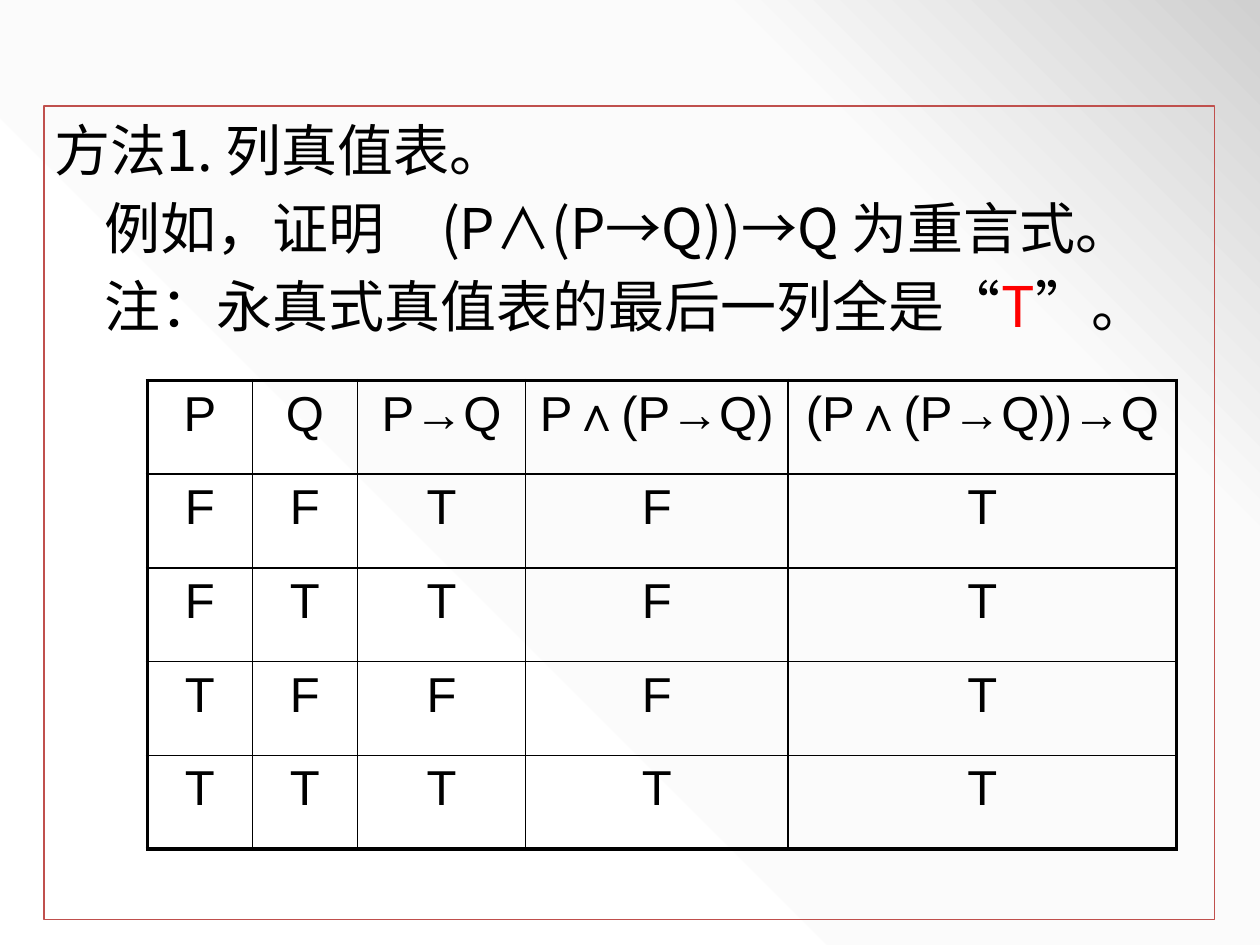
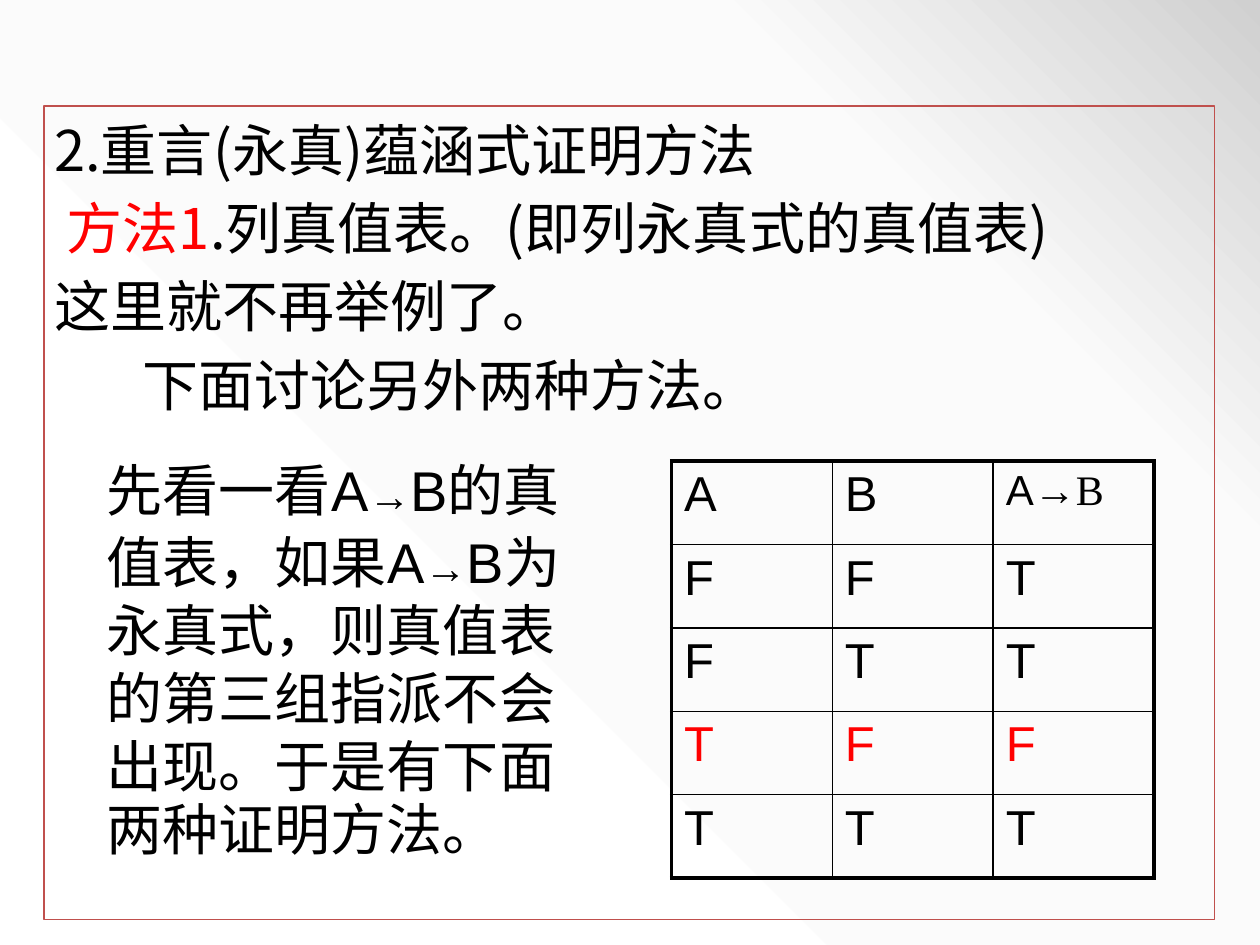
import copy
from dataclasses import dataclass

import pptx
import pptx.dml.color
import pptx.enum.text
import pptx.oxml
import pptx.oxml.ns
import pptx.util

Pt, Inches = pptx.util.Pt, pptx.util.Inches
ALIGN = pptx.enum.text.PP_ALIGN


@dataclass(frozen=True)
class Theme:
    ink: str = "000000"
    accent: str = "FF0000"
    frame: str = "C0504D"
    backdrop: tuple = ((0, "FFFFFF"), (0.75, "FBFBFB"), (1, "D0D0D0"))
    cjk: str = "Noto Sans CJK SC"
    sans: str = "Arial"
    serif: str = "Times New Roman"
    body: float = 32
    cell: float = 28
    small: float = 24
    frame_line: float = 0.75
    inner_line: float = 1
    outer_line: float = 2.25


T = Theme()
WIDTH, HEIGHT = Inches(10), Inches(7.5)


def rgb(value):
    return pptx.dml.color.RGBColor.from_string(value)


def place(left, top, width, height):
    """Turn percentages of the slide into lengths."""
    return [int(share * side / 100) for share, side in
            zip((left, top, width, height), (WIDTH, HEIGHT) * 2)]


# Text
def add_run(p, text, size=T.body, font=T.cjk, east=None, color=T.ink):
    r = p.add_run()
    r.text = text
    r.font.size, r.font.name = Pt(size), font
    r.font.color.rgb = rgb(color)
    ea = pptx.oxml.parse_xml(
        f'<a:ea {pptx.oxml.ns.nsdecls("a")} typeface="{east or font}"/>')
    r.font._element.find(pptx.oxml.ns.qn("a:latin")).addnext(ea)


def add_text(tf, runs, first=False, indent=0, line=None, before=0, align=ALIGN.LEFT, **style):
    """Add a paragraph; runs is a string or a list of (text, format) pairs."""
    p = tf.paragraphs[0] if first else tf.add_paragraph()
    props = p._p.get_or_add_pPr()
    props.set("marL", str(Inches(indent)))
    props.set("indent", "0")
    props.append(pptx.oxml.parse_xml(f'<a:buNone {pptx.oxml.ns.nsdecls("a")}/>'))
    p.alignment = align
    p.space_before = Pt(0 if first else before)
    if line:
        p.line_spacing = Pt(line)
    for text, extra in [(runs, {})] if isinstance(runs, str) else runs:
        add_run(p, text, **{**style, **extra})


def set_frame(tf, side, edge):
    tf.word_wrap = True
    tf.auto_size = pptx.enum.text.MSO_AUTO_SIZE.NONE
    tf.vertical_anchor = pptx.enum.text.MSO_ANCHOR.TOP
    tf.margin_left = tf.margin_right = Inches(side)
    tf.margin_top = tf.margin_bottom = Inches(edge)


# Shared look
def set_backdrop(prs):
    master = prs.slide_master
    fill = master.background.fill
    fill.gradient()
    fill.gradient_angle = 45
    stops = master.element.xpath("./p:cSld/p:bg//a:gsLst")[0]
    stops.append(copy.deepcopy(stops[0]))
    for stop, (position, color) in zip(fill.gradient_stops, T.backdrop):
        stop.color.rgb = rgb(color)
        stop.position = position


def add_framed_slide(prs, lines):
    """Add a slide whose body is a framed list of (indent, runs)."""
    slide = prs.slides.add_slide(prs.slide_layouts[1])
    title = slide.shapes.title.element
    title.getparent().remove(title)
    sp = slide.placeholders[1]
    sp.left, sp.top, sp.width, sp.height = place(3.5, 11.2, 92.9, 86.13)
    sp.line.color.rgb = rgb(T.frame)
    sp.line.width = Pt(T.frame_line)
    set_frame(sp.text_frame, 0.08, 0.04)
    for i, (indent, runs) in enumerate(lines):
        add_text(sp.text_frame, runs, first=i == 0, indent=indent, line=41, before=3.7)
    return slide


# Truth tables
def set_borders(cell, widths):
    props = cell._tc.get_or_add_tcPr()
    for i, (side, width) in enumerate(zip(("lnL", "lnR", "lnT", "lnB"), widths)):
        props.insert(i, pptx.oxml.parse_xml(
            f'<a:{side} {pptx.oxml.ns.nsdecls("a")} w="{Pt(width)}">'
            f'<a:solidFill><a:srgbClr val="{T.ink}"/></a:solidFill></a:{side}>'))


def add_truth_table(slide, box, weights, head, rows, align=ALIGN.LEFT, marked=None):
    """Draw a header and rows given as strings of T and F."""
    grid = [head, *rows]
    left, top, width, height = place(*box)
    table = slide.shapes.add_table(len(grid), len(head), left, top, width, height).table
    table.first_row = table.horz_banding = False
    for column, weight in zip(table.columns, weights):
        column.width = int(width * weight / sum(weights))
    for r, values in enumerate(grid):
        table.rows[r].height = height // len(grid)
        for c, value in enumerate(values):
            cell = table.cell(r, c)
            cell.fill.background()
            at_edge = (c == 0, c == len(head) - 1, r == 0, r == len(grid) - 1)
            set_borders(cell, [T.outer_line if edge else T.inner_line for edge in at_edge])
            add_text(cell.text_frame, value, first=True, align=align, size=T.cell,
                     font=T.sans, color=T.accent if r == marked else T.ink)


# Slides
def tautology_slide(prs):
    slide = add_framed_slide(prs, [
        (0, "方法1. 列真值表。"),
        (0.4, "例如，证明　(P∧(P→Q))→Q 为重言式。"),
        (0.4, [("注：永真式真值表的最后一列全是“", {}), ("T", {"color": T.accent}), ("”。", {})]),
    ])
    add_truth_table(slide, (11.7, 40.27, 81.7, 49.6), (10, 10, 16, 25, 37),
                    ["P", "Q", "P→Q", "P∧(P→Q)", "(P∧(P→Q))→Q"],
                    ["FFTFT", "FTTFT", "TFFFT", "TTTTT"], align=ALIGN.CENTER)


def implication_slide(prs):
    slide = add_framed_slide(prs, [
        (0, "2.重言(永真)蕴涵式证明方法"),
        (0.1, [("方法1", {"color": T.accent}), (".列真值表。(即列永真式的真值表)", {})]),
        (0, "这里就不再举例了。"),
        (0.7, "下面讨论另外两种方法。"),
    ])

    # Explanation beside the table
    arrow = ("→", {"size": T.small, "font": T.serif, "east": T.serif})
    lines = [
        (41, [("先看一看Α", {}), arrow, ("Β的真", {})]),
        (41, [("值表，如果Α", {}), arrow, ("Β为", {})]),
        (39, "永真式，则真值表"),
        (39, "的第三组指派不会"),
        (39, "出现。于是有下面"),
        (36, "两种证明方法。"),
    ]
    tf = slide.shapes.add_textbox(*place(7.5, 47.07, 41.7, 47.6)).text_frame
    set_frame(tf, 0.1, 0.05)
    for i, (pitch, runs) in enumerate(lines):
        add_text(tf, runs, first=i == 0, line=pitch, font=T.sans, east=T.cjk)

    formula = [("Α", {"size": T.small}), ("→B", {"size": T.small, "font": T.serif})]
    add_truth_table(slide, (53.3, 48.8, 38.3, 44.13), (1, 1, 1), ["A", "B", formula],
                    ["FFT", "FTT", "TFF", "TTT"], marked=3)


def main():
    prs = pptx.Presentation()
    prs.slide_width, prs.slide_height = WIDTH, HEIGHT
    set_backdrop(prs)
    tautology_slide(prs)
    implication_slide(prs)
    prs.save("out.pptx")


if __name__ == "__main__":
    main()
